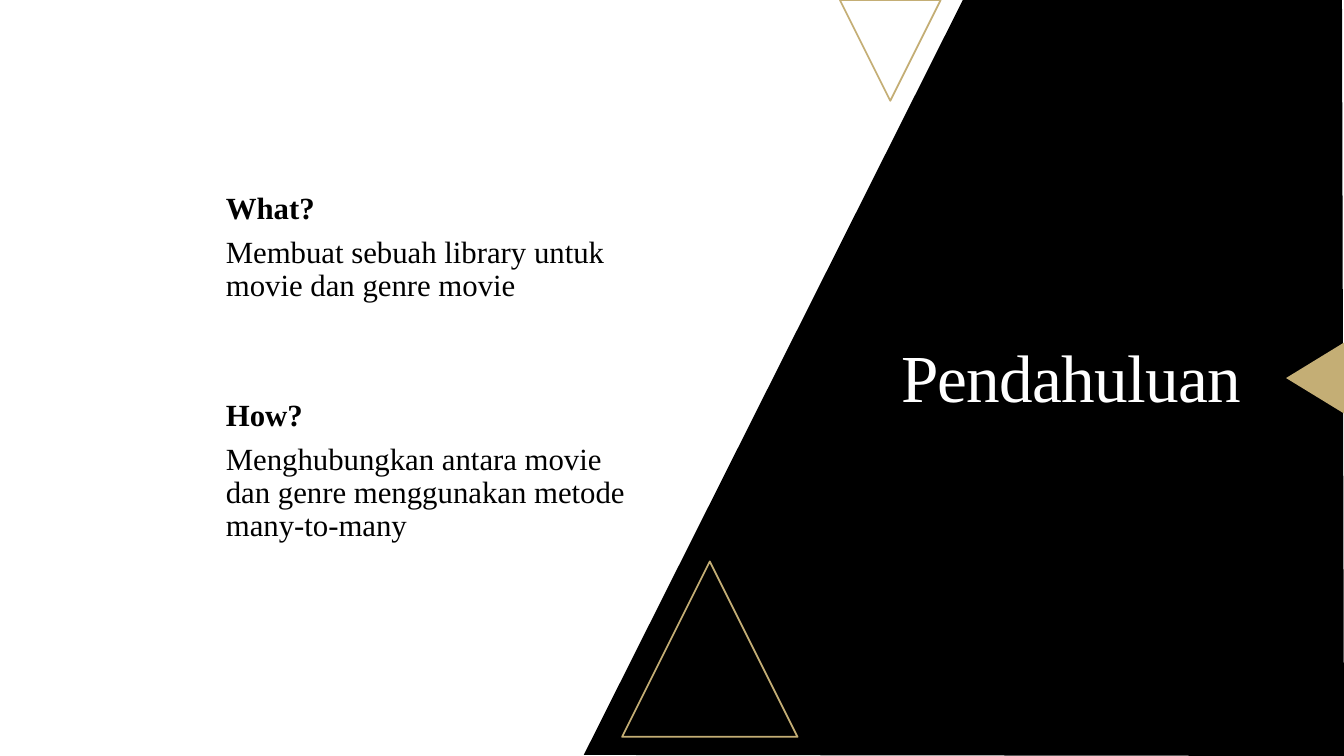
from lxml.etree import SubElement
from pptx import Presentation
from pptx.dml.color import RGBColor
from pptx.enum.shapes import MSO_SHAPE
from pptx.enum.text import MSO_ANCHOR, MSO_AUTO_SIZE, PP_ALIGN
from pptx.oxml.ns import qn
from pptx.util import Inches, Pt

COLOURS = {"black": "000000", "white": "FFFFFF", "gold": "C4AE75"}
FONT = "Times New Roman"


def colour(name):
    return RGBColor.from_string(COLOURS[name])


def write(para, text, size=22, ink="black", bold=False, align=PP_ALIGN.LEFT,
          after=0, tracking=0):
    """Add one formatted span of text to a paragraph."""
    para.alignment = align
    para.line_spacing = 0.9
    para.space_before = Pt(0)
    para.space_after = Pt(after)
    span = para.add_run()
    span.text = text
    span.font.name = FONT
    span.font.size = Pt(size)
    span.font.bold = bold
    span.font.color.rgb = colour(ink)
    if tracking:
        span._r.get_or_add_rPr().set("spc", str(round(tracking * 100)))


class SlideBuilder:
    def __init__(self, page):
        self.page = page

    def paint(self, shape, fill=None, line=None):
        shape.shadow.inherit = False
        if fill:
            shape.fill.solid()
            shape.fill.fore_color.rgb = colour(fill)
        else:
            shape.fill.background()
        if line:
            shape.line.color.rgb = colour(line)
            shape.line.width = Pt(1.25)
        else:
            shape.line.fill.background()

    def panel(self, points, fill):
        corners = [(Inches(x), Inches(y)) for x, y in points]
        outline = self.page.shapes.build_freeform(*corners[0])
        outline.add_line_segments(corners[1:], close=True)
        self.paint(outline.convert_to_shape(), fill=fill)

    def triangle(self, left, top, width, height, rotation=0, **style):
        shape = self.page.shapes.add_shape(
            MSO_SHAPE.ISOSCELES_TRIANGLE, *map(Inches, (left, top, width, height)))
        shape.rotation = rotation
        self.paint(shape, **style)

    def place(self, box, left, top, width, height):
        """Move a placeholder to its spot, in front of the shapes."""
        box.left, box.top = Inches(left), Inches(top)
        box.width, box.height = Inches(width), Inches(height)
        frame = box.text_frame
        frame.word_wrap = True
        frame.auto_size = MSO_AUTO_SIZE.NONE
        frame.vertical_anchor = MSO_ANCHOR.MIDDLE
        self.page.shapes._spTree.append(box._element)
        return frame

    def title(self, text, *place):
        frame = self.place(self.page.shapes.title, *place)
        write(frame.paragraphs[0], text, size=48, ink="white",
              align=PP_ALIGN.CENTER, tracking=-0.5)

    def answer(self, box, question, text, *place):
        frame = self.place(box, *place)
        frame.margin_left = frame.margin_right = Inches(0.19)
        frame.margin_top = frame.margin_bottom = Inches(0.19)
        for para, words, bold in ((frame.paragraphs[0], question, True),
                                  (frame.add_paragraph(), text, False)):
            write(para, words, bold=bold, after=7.7)
            properties = para._p.get_or_add_pPr()
            properties.set("marL", "0")
            properties.set("indent", "0")
            SubElement(properties, qn("a:buNone"))


def main():
    deck = Presentation()
    deck.slide_width, deck.slide_height = Inches(13.33), Inches(7.5)
    page = deck.slides.add_slide(deck.slide_layouts.get_by_name("Two Content"))
    page.background.fill.solid()
    page.background.fill.fore_color.rgb = colour("white")
    builder = SlideBuilder(page)
    first_box, second_box = list(page.placeholders)[1:3]

    # Slanted panel and triangles
    builder.panel([(9.55, 0), (13.31, 0), (13.33, 7.5), (5.79, 7.49)], "black")
    builder.triangle(8.33, 0, 1, 1, rotation=180, line="gold")
    builder.triangle(6.17, 5.57, 1.74, 1.74, line="gold")
    builder.triangle(12.69, 3.46, 0.71, 0.58, rotation=270, fill="gold")

    # Questions with their answers
    answers = [
        (first_box, "What?", "Membuat sebuah library untuk movie dan genre movie"),
        (second_box, "How?",
         "Menghubungkan antara movie dan genre menggunakan metode many-to-many"),
    ]
    for row, (box, question, text) in enumerate(answers):
        builder.answer(box, question, text, 2.05, 1.57 + 2.22 * row, 4.44, 1.78)

    # Title
    builder.title("Pendahuluan", 8.5, 2.14, 4.25, 3.28)

    deck.save("out.pptx")


if __name__ == "__main__":
    main()
